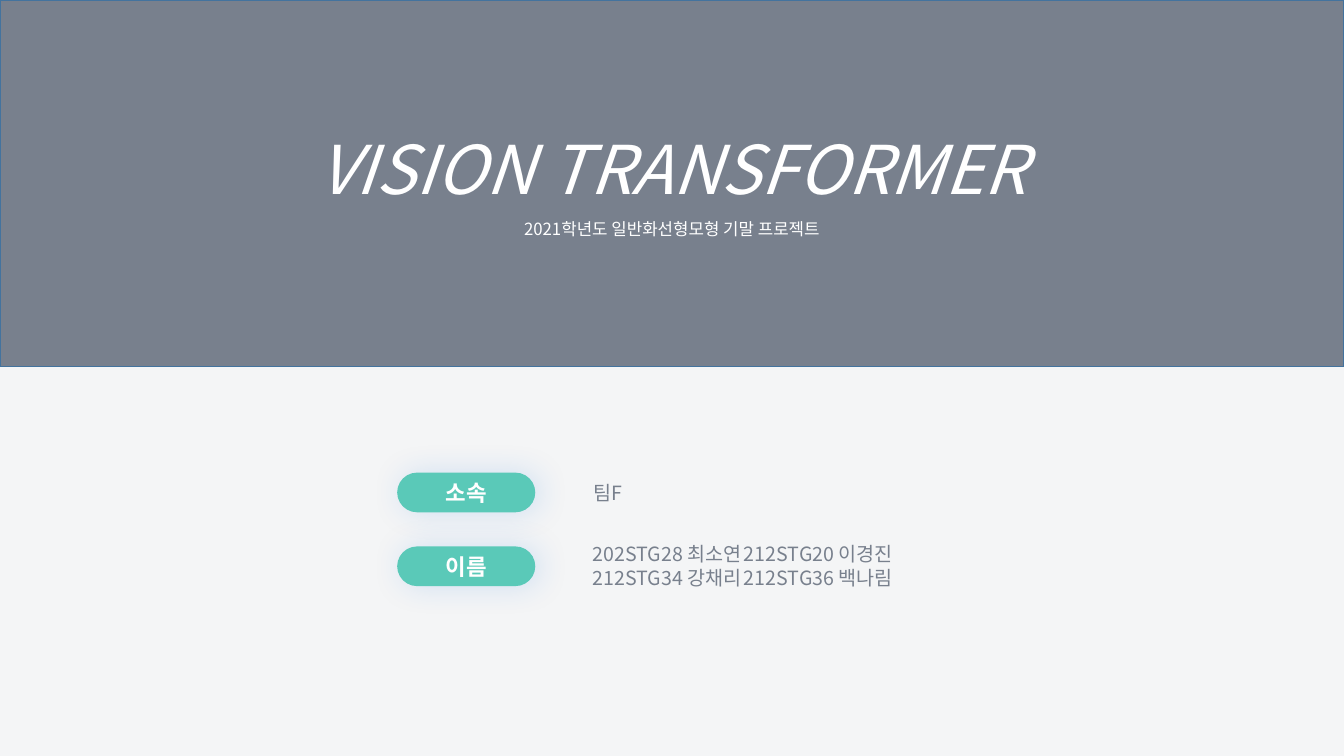
"""Build the title slide of the Vision Transformer project deck."""
from typing import NamedTuple

import pptx
import pptx.dml.color
import pptx.enum.shapes
import pptx.enum.text
import pptx.oxml
import pptx.oxml.ns
import pptx.util
from pptx.util import Cm

COLORS = {
    "page": "F4F5F6",
    "slate": "78808D",
    "border": "43739E",
    "teal": "5AC9B8",
    "white": "FFFFFF",
    "glow": "1A73DE",
}
FONT = "Noto Sans CJK KR"
ALIGN = pptx.enum.text.PP_ALIGN
ANCHOR = pptx.enum.text.MSO_ANCHOR
AUTO_SIZE = pptx.enum.text.MSO_AUTO_SIZE


class Pill(NamedTuple):
    label: str
    top: float


PILLS = [Pill("소속", 11.91), Pill("이름", 13.77)]
MEMBERS = ["202STG28 최소연\t212STG20 이경진", "212STG34 강채리\t212STG36 백나림"]


def color(name: str) -> pptx.dml.color.RGBColor:
    return pptx.dml.color.RGBColor.from_string(COLORS[name])


def place(box, left: float, top: float, width: float, height: float) -> None:
    box.left, box.top, box.width, box.height = Cm(left), Cm(top), Cm(width), Cm(height)


def style(para, size: int, ink: str, align: ALIGN, bold: bool = False, italic: bool = False) -> None:
    para.alignment = align
    para.space_before = pptx.util.Pt(0)
    for span in para.runs:
        font = span.font
        font.name, font.size = FONT, pptx.util.Pt(size)
        font.bold, font.italic = bold, italic
        font.color.rgb = color(ink)
        east_asian = pptx.oxml.parse_xml(f'<a:ea {pptx.oxml.ns.nsdecls("a")} typeface="{FONT}"/>')
        font._element.find(pptx.oxml.ns.qn("a:latin")).addnext(east_asian)


def fill_banner(banner) -> None:
    place(banner, 0, 0, 33.87, 9.23)
    banner.fill.solid()
    banner.fill.fore_color.rgb = color("slate")
    banner.line.color.rgb = color("border")
    banner.line.width = pptx.util.Pt(1)
    frame = banner.text_frame
    frame.auto_size = AUTO_SIZE.NONE
    frame.vertical_anchor = ANCHOR.MIDDLE
    frame.text = "VISION TRANSFORMER\n2021학년도 일반화선형모형 기말 프로젝트"
    title, subtitle = frame.paragraphs
    style(title, 48, "white", ALIGN.CENTER, italic=True)
    style(subtitle, 12, "white", ALIGN.CENTER)
    subtitle.line_spacing = 1.5


def add_pill(page, pill: Pill) -> None:
    box = page.shapes.add_shape(
        pptx.enum.shapes.MSO_SHAPE.ROUNDED_RECTANGLE, Cm(10.01), Cm(pill.top), Cm(3.48), Cm(1)
    )
    box.adjustments[0] = 0.5
    box.fill.solid()
    box.fill.fore_color.rgb = color("teal")
    box.line.fill.background()
    box._element.spPr.append(pptx.oxml.parse_xml(
        f'<a:effectLst {pptx.oxml.ns.nsdecls("a")}>'
        f'<a:outerShdw blurRad="{pptx.util.Pt(23)}" dist="{pptx.util.Pt(3)}" dir="0" algn="ctr" rotWithShape="0">'
        f'<a:srgbClr val="{COLORS["glow"]}"><a:alpha val="17000"/></a:srgbClr>'
        '</a:outerShdw></a:effectLst>'
    ))
    box.text_frame.vertical_anchor = ANCHOR.MIDDLE
    box.text_frame.text = pill.label
    style(box.text_frame.paragraphs[0], 16, "white", ALIGN.CENTER, bold=True)


def add_team(page) -> None:
    box = page.shapes.add_textbox(Cm(14.68), Cm(11.99), Cm(1.27), Cm(0.86))
    frame = box.text_frame
    frame.word_wrap = False
    frame.auto_size = AUTO_SIZE.SHAPE_TO_FIT_TEXT
    frame.text = "팀F"
    style(frame.paragraphs[0], 14, "slate", ALIGN.CENTER)


def fill_members(box) -> None:
    place(box, 14.68, 13.54, 10.67, 1.45)
    frame = box.text_frame
    frame.auto_size = AUTO_SIZE.SHAPE_TO_FIT_TEXT
    frame.text = "\n".join(MEMBERS)
    for para in frame.paragraphs:
        properties = para._p.get_or_add_pPr()
        properties.set("marL", "0")
        properties.set("indent", "0")
        properties.append(pptx.oxml.parse_xml(f'<a:buNone {pptx.oxml.ns.nsdecls("a")}/>'))
        style(para, 14, "slate", ALIGN.LEFT)


def main() -> None:
    deck = pptx.Presentation()
    deck.slide_width, deck.slide_height = Cm(33.87), Cm(19.05)
    page = deck.slides.add_slide(deck.slide_layouts[1])
    page.background.fill.solid()
    page.background.fill.fore_color.rgb = color("page")
    fill_banner(page.shapes.title)
    for pill in PILLS:
        add_pill(page, pill)
    add_team(page)
    fill_members(page.placeholders[1])
    deck.save("out.pptx")


if __name__ == "__main__":
    main()
